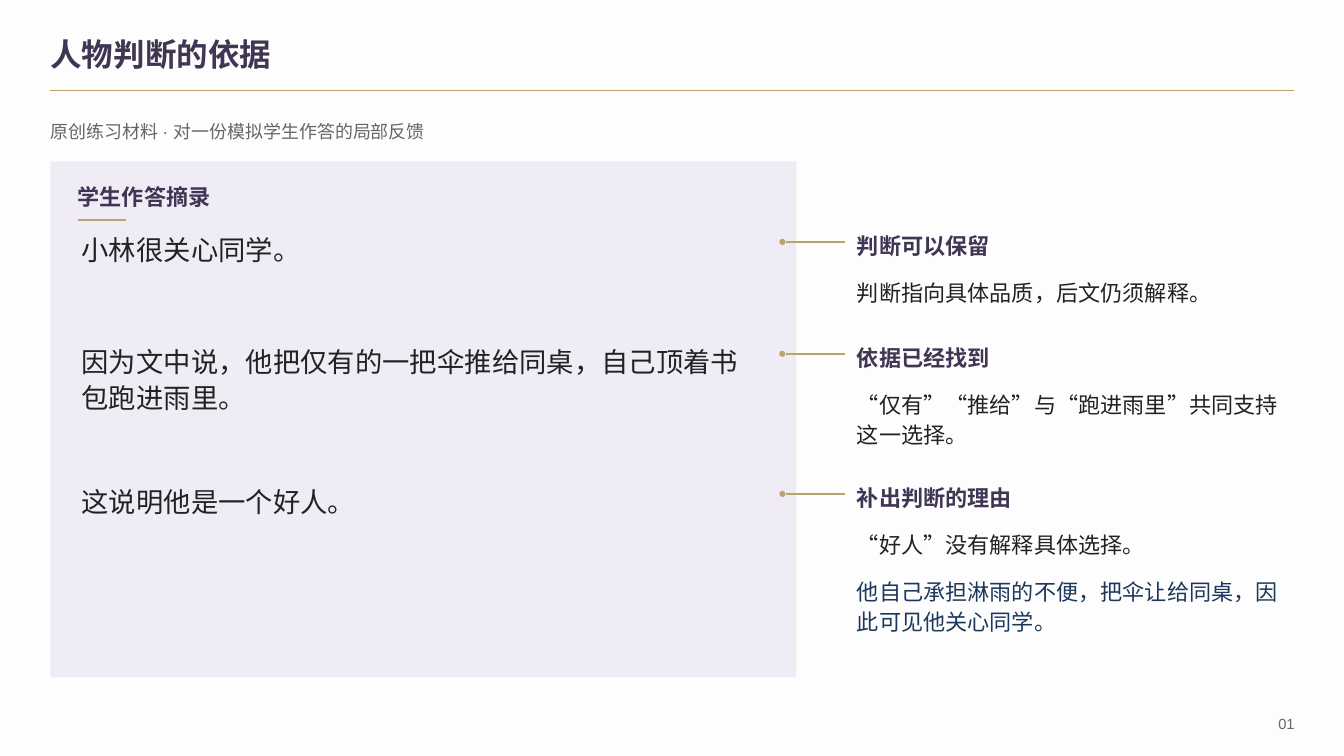
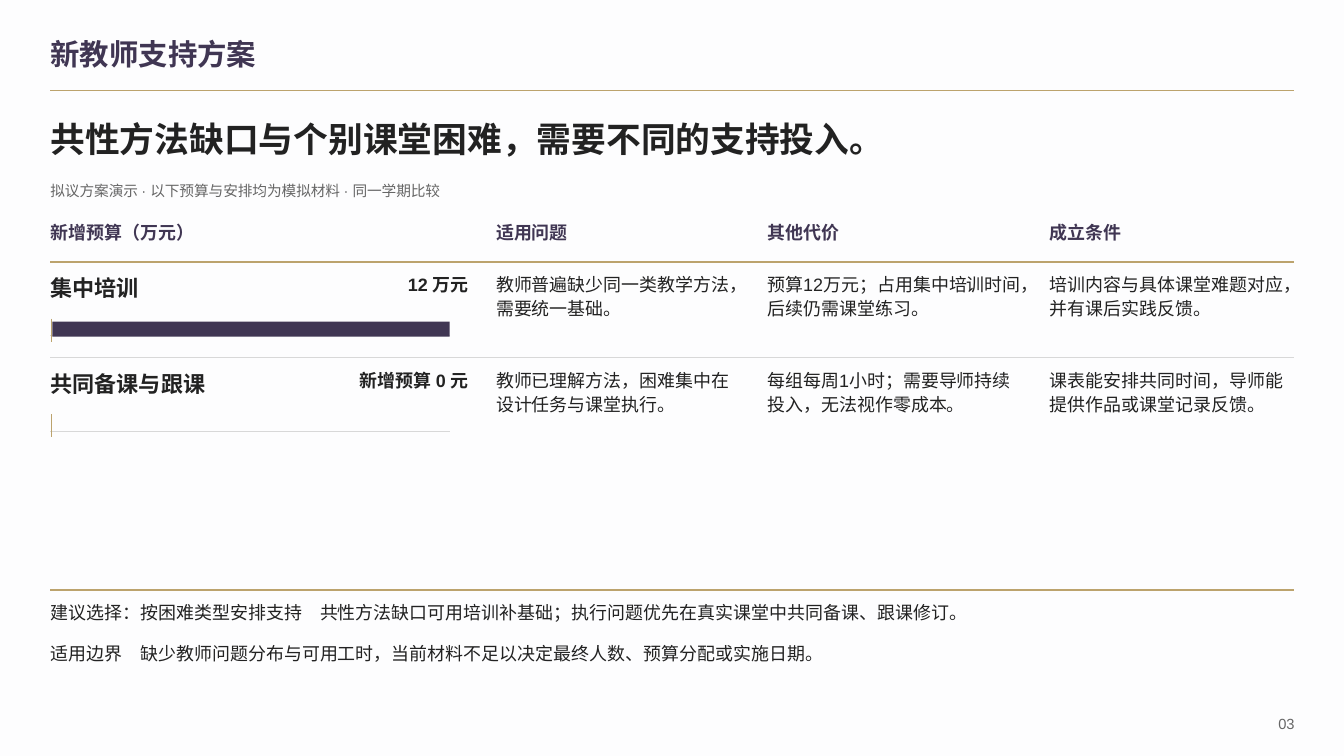
from pptx import Presentation
from pptx.dml.color import RGBColor
from pptx.enum.shapes import MSO_CONNECTOR, MSO_SHAPE
from pptx.enum.text import MSO_ANCHOR, MSO_AUTO_SIZE, PP_ALIGN
from pptx.oxml.ns import qn
from pptx.util import Inches, Pt
from lxml.etree import SubElement

COLORS = {
    "background": "FDFDFE",
    "gold": "BCA36D",
    "purple": "403653",
    "lilac": "F0ECF5",
    "ink": "222222",
    "muted": "666666",
    "navy": "1B385B",
    "line": "D8D8D8",
}
LEADING = {10.5: 14.2, 12.8: 17.2, 15.8: 21.3, 19.5: 26.3, 24.8: 29.7}
FONT = "Arial"
LEFT, WIDTH = 0.5, 12.33
RIGHT = LEFT + WIDTH


def color(name):
    return RGBColor.from_string(COLORS[name])


def write(frame, text, size=12.8, fill="ink", bold=False, align=PP_ALIGN.LEFT, leading=None):
    paragraph = frame.paragraphs[0]
    paragraph.alignment = align
    if leading:
        paragraph.line_spacing = Pt(leading)
    run = paragraph.add_run()
    run.text = text
    run.font.name = FONT
    run.font.size = Pt(size)
    run.font.bold = bold
    run.font.color.rgb = color(fill)


class Deck:
    def __init__(self):
        self.presentation = Presentation()
        self.presentation.slide_width = Inches(13.33)
        self.presentation.slide_height = Inches(7.5)
        self.slide = None

    def start(self, title, number, title_size):
        self.slide = self.presentation.slides.add_slide(self.presentation.slide_layouts[6])
        background = self.slide.background.fill
        background.solid()
        background.fore_color.rgb = color("background")
        self.rule(LEFT, 0.9, WIDTH)
        self.label(title, LEFT, 0.31, 10.52, 0.45, size=title_size, fill="purple", bold=True)
        self.label(number, 12.4, 7.05, 0.44, 0.25, size=10.5, fill="muted", align=PP_ALIGN.RIGHT)

    def box(self, left, top, width, height, anchor):
        shape = self.slide.shapes.add_textbox(Inches(left), Inches(top), Inches(width), Inches(height))
        frame = shape.text_frame
        frame.word_wrap = True
        frame.auto_size = MSO_AUTO_SIZE.SHAPE_TO_FIT_TEXT
        frame.vertical_anchor = anchor
        frame.margin_left = frame.margin_right = frame.margin_top = frame.margin_bottom = 0
        return frame

    def label(self, text, left, top, width, height, **style):
        write(self.box(left, top, width, height, MSO_ANCHOR.MIDDLE), text, **style)

    def text(self, text, left, top, width, size=12.8, lines=1, **style):
        leading = LEADING[size]
        height = lines * leading / 72 + 0.1
        frame = self.box(left, top, width, height, MSO_ANCHOR.TOP)
        write(frame, text, size=size, leading=leading, **style)

    def shape(self, kind, left, top, width, height, fill):
        shape = self.slide.shapes.add_shape(kind, Inches(left), Inches(top), Inches(width), Inches(height))
        shape.shadow.inherit = False
        shape.fill.solid()
        shape.fill.fore_color.rgb = color(fill)
        shape.line.fill.background()

    def line(self, start, end, stroke="gold", weight=1):
        points = [Inches(value) for value in (*start, *end)]
        connector = self.slide.shapes.add_connector(MSO_CONNECTOR.STRAIGHT, *points)
        connector.line.color.rgb = color(stroke)
        connector.line.width = Pt(weight)
        SubElement(connector._element.spPr, qn("a:effectLst"))

    def rule(self, left, top, width, **style):
        self.line((left, top), (left + width, top), **style)


def build_feedback(deck):
    deck.start("人物判断的依据", "01", 22.5)
    deck.text("原创练习材料 · 对一份模拟学生作答的局部反馈", LEFT, 1.17, WIDTH, fill="muted")
    deck.shape(MSO_SHAPE.RECTANGLE, LEFT, 1.6, 7.4, 5.12, "lilac")
    deck.text("学生作答摘录", 0.77, 1.79, 6.9, size=15.8, fill="purple", bold=True)
    deck.rule(0.77, 2.18, 0.48, weight=1.5)

    comments = [
        (2.27, "小林很关心同学。", 1, "判断可以保留",
         [("判断指向具体品质，后文仍须解释。", 1, "ink")]),
        (3.38, "因为文中说，他把仅有的一把伞推给同桌，自己顶着书包跑进雨里。", 2, "依据已经找到",
         [("“仅有”“推给”与“跑进雨里”共同支持这一选择。", 2, "ink")]),
        (4.77, "这说明他是一个好人。", 1, "补出判断的理由",
         [("“好人”没有解释具体选择。", 1, "ink"),
          ("他自己承担淋雨的不便，把伞让给同桌，因此可见他关心同学。", 2, "navy")]),
    ]
    dot, note_left, note_width, note_step = 0.06, 8.5, 4.33, 0.47
    for top, answer, answer_lines, heading, notes in comments:
        middle = top + 0.13
        deck.text(answer, 0.81, top, 6.73, size=19.5, lines=answer_lines)
        deck.shape(MSO_SHAPE.OVAL, 7.73, middle - dot / 2, dot, dot, "gold")
        deck.rule(7.8, middle, 0.58, weight=1.05)
        deck.text(heading, note_left, top, note_width, size=15.8, fill="purple", bold=True)
        for index, (note, lines, fill) in enumerate(notes, 1):
            deck.text(note, note_left, top + index * note_step, note_width,
                      size=15.8, lines=lines, fill=fill)


def build_support_plan(deck):
    deck.start("新教师支持方案", "03", 21)
    deck.text("共性方法缺口与个别课堂困难，需要不同的支持投入。", LEFT, 1.17, WIDTH, size=24.8, bold=True)
    deck.text("拟议方案演示 · 以下预算与安排均为模拟材料 · 同一学期比较", LEFT, 1.78, WIDTH,
              size=10.5, fill="muted")

    columns = [(LEFT, 4.15), (4.92, 2.42), (7.61, 2.53), (10.41, 2.42)]
    headings = ["新增预算（万元）", "适用问题", "其他代价", "成立条件"]
    for heading, (left, width) in zip(headings, columns):
        deck.text(heading, left, 2.17, width, fill="purple", bold=True)
    deck.rule(LEFT, 2.6, WIDTH, weight=1.25)

    plans = [
        ("集中培训", 12, "12 万元",
         ["教师普遍缺少同一类教学方法，需要统一基础。",
          "预算12万元；占用集中培训时间，后续仍需课堂练习。",
          "培训内容与具体课堂难题对应，并有课后实践反馈。"]),
        ("共同备课与跟课", 0, "新增预算 0 元",
         ["教师已理解方法，困难集中在设计任务与课堂执行。",
          "每组每周1小时；需要导师持续投入，无法视作零成本。",
          "课表能安排共同时间，导师能提供作品或课堂记录反馈。"]),
    ]
    first_top, row_step, track = 2.69, 0.95, 3.96
    largest = max(budget for _, budget, _, _ in plans)
    for index, (name, budget, value, details) in enumerate(plans):
        top = first_top + index * row_step
        if index:
            deck.rule(LEFT, top - 0.09, WIDTH, stroke="line", weight=0.75)
        deck.text(name, LEFT, top, 2.72, size=15.8, bold=True)
        deck.text(value, 3.39, top, 1.26, bold=True, align=PP_ALIGN.RIGHT)
        deck.rule(LEFT, top + 0.64, track, stroke="line", weight=0.75)
        deck.line((LEFT + 0.01, top + 0.47), (LEFT + 0.01, top + 0.7))
        if budget:
            deck.shape(MSO_SHAPE.RECTANGLE, LEFT + 0.02, top + 0.5,
                       (track - 0.02) * budget / largest, 0.15, "purple")
        for detail, (left, width) in zip(details, columns[1:]):
            deck.text(detail, left, top, width, lines=2)

    deck.rule(LEFT, 5.85, WIDTH, weight=1.25)
    conclusions = [
        "建议选择：按困难类型安排支持　共性方法缺口可用培训补基础；执行问题优先在真实课堂中共同备课、跟课修订。",
        "适用边界　缺少教师问题分布与可用工时，当前材料不足以决定最终人数、预算分配或实施日期。",
    ]
    for index, conclusion in enumerate(conclusions):
        deck.text(conclusion, LEFT, 5.94 + index * 0.41, WIDTH)


def main():
    deck = Deck()
    build_feedback(deck)
    build_support_plan(deck)
    deck.presentation.save("out.pptx")


if __name__ == "__main__":
    main()
